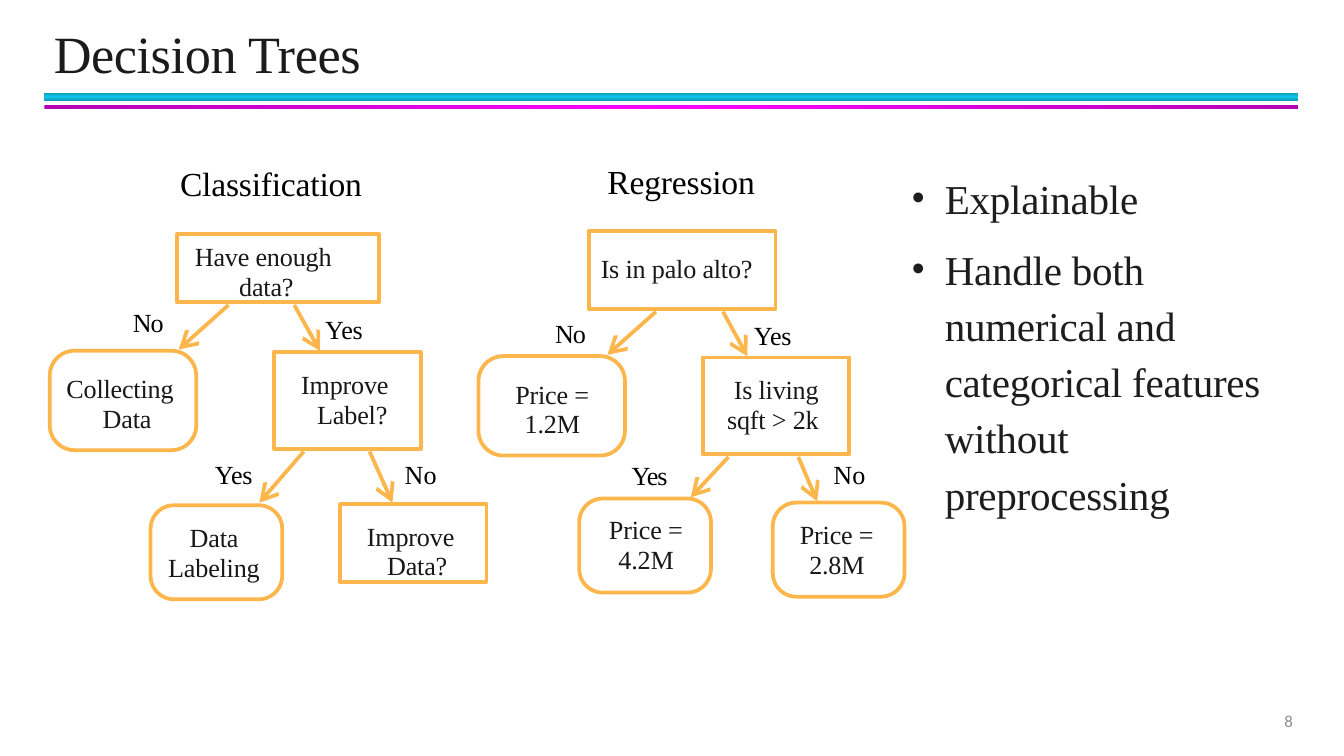
from copy import deepcopy

from lxml import etree
from pptx import Presentation
from pptx.dml.color import RGBColor
from pptx.enum.shapes import MSO_CONNECTOR, MSO_SHAPE
from pptx.enum.text import MSO_ANCHOR, MSO_AUTO_SIZE, PP_ALIGN
from pptx.oxml.ns import qn
from pptx.util import Pt

PX = 9144  # 100 px to the inch
RECT, ROUND = MSO_SHAPE.RECTANGLE, MSO_SHAPE.ROUNDED_RECTANGLE
STRAIGHT = MSO_CONNECTOR.STRAIGHT
TOP, MIDDLE = MSO_ANCHOR.TOP, MSO_ANCHOR.MIDDLE
LEFT, RIGHT = PP_ALIGN.LEFT, PP_ALIGN.RIGHT
SERIF = "Times New Roman"
ORANGE, INK, BLACK = "FCB64C", "181818", "000000"


def rgb(color):
    return RGBColor.from_string(color)


def write(sp, lines, size, color, left=0, top=1, anchor=TOP, align=LEFT,
          font=SERIF, spc=-10):
    """Fill a shape with paragraphs of one look; spc is in 1/100 pt."""
    tf = sp.text_frame
    tf.word_wrap, tf.auto_size = True, MSO_AUTO_SIZE.NONE
    tf.vertical_anchor = anchor
    tf.margin_left, tf.margin_top = left * PX, top * PX
    tf.margin_right = tf.margin_bottom = 0
    tf.text = "\n".join(lines)
    for p in tf.paragraphs:
        p.alignment = align
        p.font.name, p.font.size = font, Pt(size)
        p.font.color.rgb = rgb(color)
        for r in p.runs:
            r.font._element.set("spc", str(spc))
    return tf


prs = Presentation()
prs.slide_width = 1000 * PX
prs.slide_height = prs.slide_width * 9 // 16
s = prs.slides.add_slide(prs.slide_layouts[5])

# Gradient bars below the title
for y, h, edge, mid, angle in [(69, 6, "0E9BBA", "12C2E9", 90),
                               (78, 3, "B200B2", "FF00FF", 0)]:
    bar = s.shapes.add_shape(RECT, 33 * PX, y * PX, 933 * PX, h * PX)
    bar.shadow.inherit = False
    bar.line.fill.background()
    bar.fill.gradient()
    bar.fill.gradient_angle = angle
    stops = bar._element.spPr.find(".//" + qn("a:gsLst"))
    stops.append(deepcopy(stops[1]))
    for stop, pos, color in zip(bar.fill.gradient_stops, (0, 0.5, 1),
                                (edge, mid, edge)):
        stop.position, stop.color.rgb = pos, rgb(color)

# Title
title = s.shapes.title
title.left, title.top, title.width, title.height = (
    v * PX for v in (39, 14, 257, 49))
write(title, ["Decision Trees"], 28, "1B1B1B", left=1, anchor=MIDDLE, spc=-20)

# Tree headings and branch labels: text, x, y, w, h, size, spacing
for text, x, y, w, h, size, spc in [
    ("Classification", 133, 120, 150, 33, 18, -10),
    ("Regression", 451, 119, 139, 33, 18, -10),
    ("No", 98, 227, 34, 25, 14, -60),
    ("Yes", 241, 232, 34, 25, 14, -10),
    ("Yes", 159, 340, 34, 25, 14, -10),
    ("No", 300, 340, 28, 25, 14, 10),
    ("No", 412, 235, 34, 25, 14, -60),
    ("Yes", 560, 237, 34, 25, 14, -10),
    ("Yes", 469, 341, 34, 25, 14, -60),
    ("No", 619, 340, 28, 25, 14, 10),
]:
    box = s.shapes.add_textbox(x * PX, y * PX, w * PX, h * PX)
    write(box, [text], size, BLACK, left=1, spc=spc)

# Tree nodes: shape, x, y, w, h, text, start of first and later lines, top
for kind, x, y, w, h, text, first, later, top in [
    (RECT, 132, 174, 150, 51, "Have enough\vdata?", 13, 46, 6),
    (ROUND, 37, 261, 109, 74, "Collecting\vData", 12, 39, 17),
    (RECT, 204, 262, 109, 72, "Improve\vLabel?", 20, 32, 13),
    (ROUND, 112, 376, 98, 70, "Data\vLabeling", 29, 13, 13),
    (RECT, 253, 375, 109, 58, "Improve\vData?", 20, 35, 13),
    (RECT, 438, 172, 139, 58, "Is in palo alto?", 9, 9, 17),
    (ROUND, 356, 265, 109, 74, "Price =\v1.2M", 27, 34, 17),
    (RECT, 523, 266, 109, 72, "Is living\vsqft > 2k", 23, 18, 13),
    (ROUND, 431, 371, 98, 70, "Price =\v4.2M", 22, 29, 12),
    (ROUND, 575, 374, 98, 70, "Price =\v2.8M", 20, 27, 13),
]:
    node = s.shapes.add_shape(kind, x * PX, y * PX, w * PX, h * PX)
    node.shadow.inherit = False
    node.fill.background()
    node.line.color.rgb, node.line.width = rgb(ORANGE), Pt(2)
    inset = 0
    if kind == ROUND:
        node.adjustments[0] = 0.25
        inset = 5  # rounded corners push the text area inwards
    tf = write(node, [text], 14, INK, top=top - inset)
    p = tf.paragraphs[0]
    p.line_spacing = Pt(16)
    pPr = p._p.get_or_add_pPr()
    pPr.set("marL", str((later - inset) * PX))
    pPr.set("indent", str((first - later) * PX))

# Arrows from parent to child
for x1, y1, x2, y2 in [
    (170, 227, 133, 260), (219, 227, 238, 261),
    (226, 336, 193, 374), (275, 336, 292, 374),
    (488, 232, 452, 264), (538, 232, 556, 265),
    (542, 340, 514, 370), (594, 340, 608, 373),
]:
    arrow = s.shapes.add_connector(STRAIGHT, x1 * PX, y1 * PX, x2 * PX, y2 * PX)
    arrow.line.color.rgb, arrow.line.width = rgb(ORANGE), Pt(2)
    etree.SubElement(arrow.line._get_or_add_ln(), qn("a:tailEnd"),
                     type="arrow", w="lg", len="lg")
    etree.SubElement(arrow._element.spPr, qn("a:effectLst"))

# Bullets on the right
box = s.shapes.add_textbox(677 * PX, 112 * PX, 283 * PX, 273 * PX)
tf = write(box, ["Explainable", "Handle both numerical and categorical features "
                 "without preprocessing"], 22, "1D1D1D", top=17)
for p in tf.paragraphs:
    pPr = p._p.get_or_add_pPr()
    pPr.set("marL", str(26 * PX))
    pPr.set("indent", str(-25 * PX))
    pPr.insert(0, etree.Element(qn("a:buFont"), typeface=SERIF))
    pPr.insert(1, etree.Element(qn("a:buChar"), char="•"))
p = tf.paragraphs[1]
p.line_spacing, p.space_before = 1.14, Pt(8)

# Slide number
box = s.shapes.add_textbox(737 * PX, 521 * PX, 225 * PX, 30 * PX)
write(box, ["8"], 9, "8C8C8C", top=0, anchor=MIDDLE, align=RIGHT,
      font="Calibri", spc=0)

prs.save("out.pptx")
